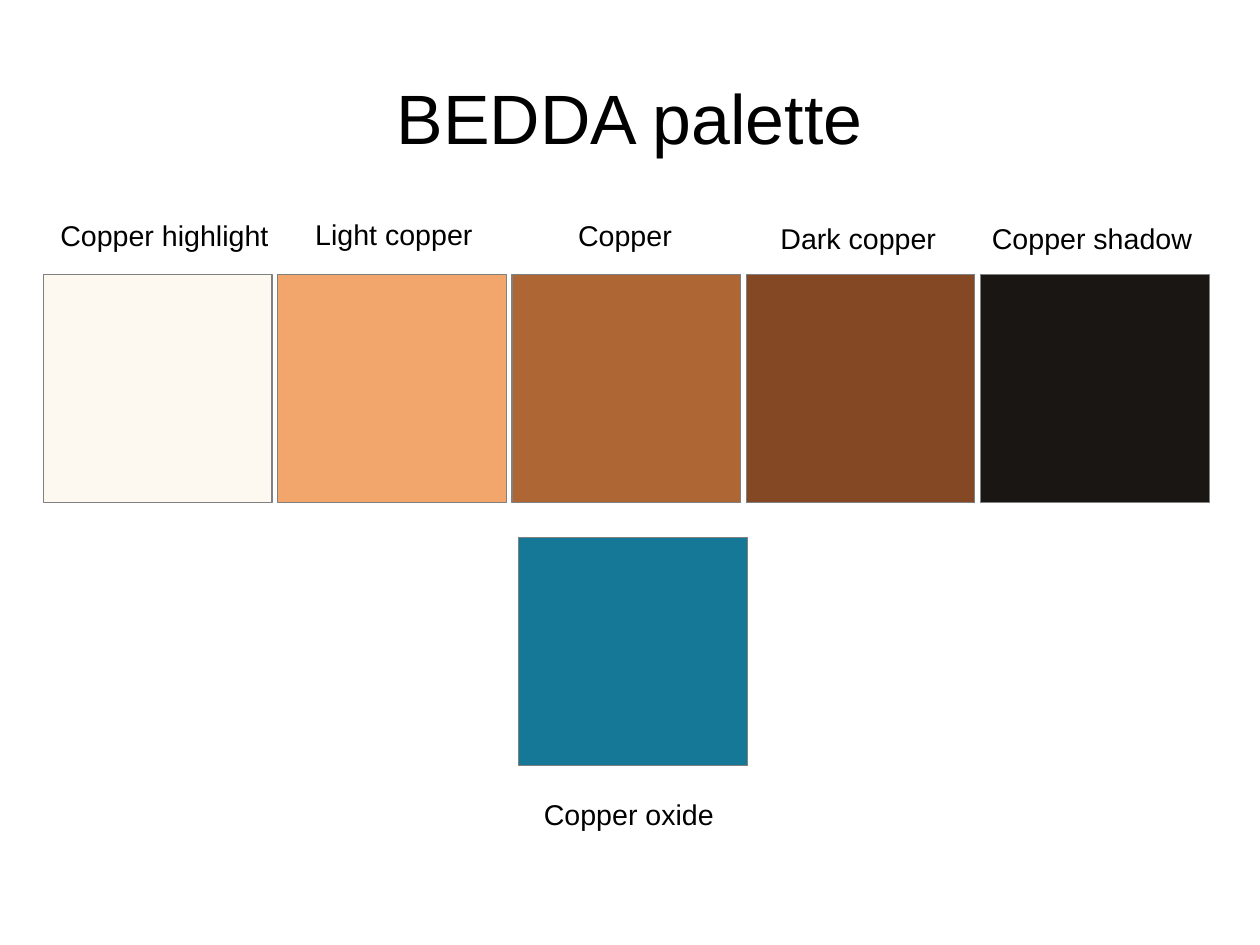
from dataclasses import dataclass
from pptx import Presentation
from pptx.dml.color import RGBColor as Color
from pptx.enum.shapes import MSO_SHAPE as Shape
from pptx.enum.text import MSO_ANCHOR as Anchor, MSO_AUTO_SIZE as AutoSize, PP_ALIGN as Align
from pptx.util import Inches, Pt


@dataclass(frozen=True)
class Theme:
    font: str = "Arial"
    text: str = "000000"
    outline: str = "808080"
    highlight: str = "FDF9F0"
    light: str = "F2A66C"
    copper: str = "AF6635"
    dark: str = "844924"
    shadow: str = "191614"
    oxide: str = "147896"
    title_size: int = 44
    label_size: int = 18


THEME = Theme()
CM_PER_INCH = 2.54
PAGE_WIDTH = 28 / CM_PER_INCH
PAGE_HEIGHT = 21 / CM_PER_INCH
SIDE = 2
PITCH = 2.05
LABEL_HEIGHT = 0.38

COPPERS = [
    ("Copper highlight", THEME.highlight, 0.05, -0.54, 2.04),
    ("Light copper", THEME.light, 0.23, -0.55, 1.6),
    ("Copper", THEME.copper, 0.48, -0.54, 1.04),
    ("Dark copper", THEME.dark, 0.2, -0.52, 1.58),
    ("Copper shadow", THEME.shadow, 0, -0.52, 1.97),
]
OXIDE = ("Copper oxide", THEME.oxide, 0.12, 2.22, 1.71)


def add_text(page, text, size, left, top, width, height):
    box = page.shapes.add_textbox(Inches(left), Inches(top), Inches(width), Inches(height))
    frame = box.text_frame
    frame.word_wrap = False
    frame.auto_size = AutoSize.SHAPE_TO_FIT_TEXT
    para = frame.paragraphs[0]
    para.text = text
    para.font.name = THEME.font
    para.font.size = Pt(size)
    para.font.color.rgb = Color.from_string(THEME.text)
    return frame


def add_title(page, text, left, top, width, height):
    frame = add_text(page, text, THEME.title_size, left, top, width, height)
    frame.word_wrap = True
    frame.auto_size = AutoSize.NONE
    frame.vertical_anchor = Anchor.MIDDLE
    frame.margin_left = frame.margin_right = 0
    frame.margin_top = frame.margin_bottom = 0
    frame.paragraphs[0].alignment = Align.CENTER


def add_swatch(page, swatch, left, top):
    name, fill, label_dx, label_dy, label_width = swatch
    square = page.shapes.add_shape(
        Shape.RECTANGLE, Inches(left), Inches(top), Inches(SIDE), Inches(SIDE)
    )
    square.shadow.inherit = False
    square.fill.solid()
    square.fill.fore_color.rgb = Color.from_string(fill)
    square.line.color.rgb = Color.from_string(THEME.outline)
    square.line.width = Pt(0)
    add_text(page, name, THEME.label_size, left + label_dx, top + label_dy,
             label_width, LABEL_HEIGHT)


def add_swatch_row(page, swatches, left, top):
    for column, swatch in enumerate(swatches):
        add_swatch(page, swatch, left + column * PITCH, top)


def main():
    deck = Presentation()
    deck.slide_width = Inches(PAGE_WIDTH)
    deck.slide_height = Inches(PAGE_HEIGHT)
    page = deck.slides.add_slide(deck.slide_layouts[6])
    add_title(page, "BEDDA palette", 0.55, 0.33, 9.92, 1.38)
    add_swatch_row(page, COPPERS, 0.38, 2.4)
    add_swatch(page, OXIDE, 4.54, 4.7)
    deck.save("out.pptx")


if __name__ == "__main__":
    main()
